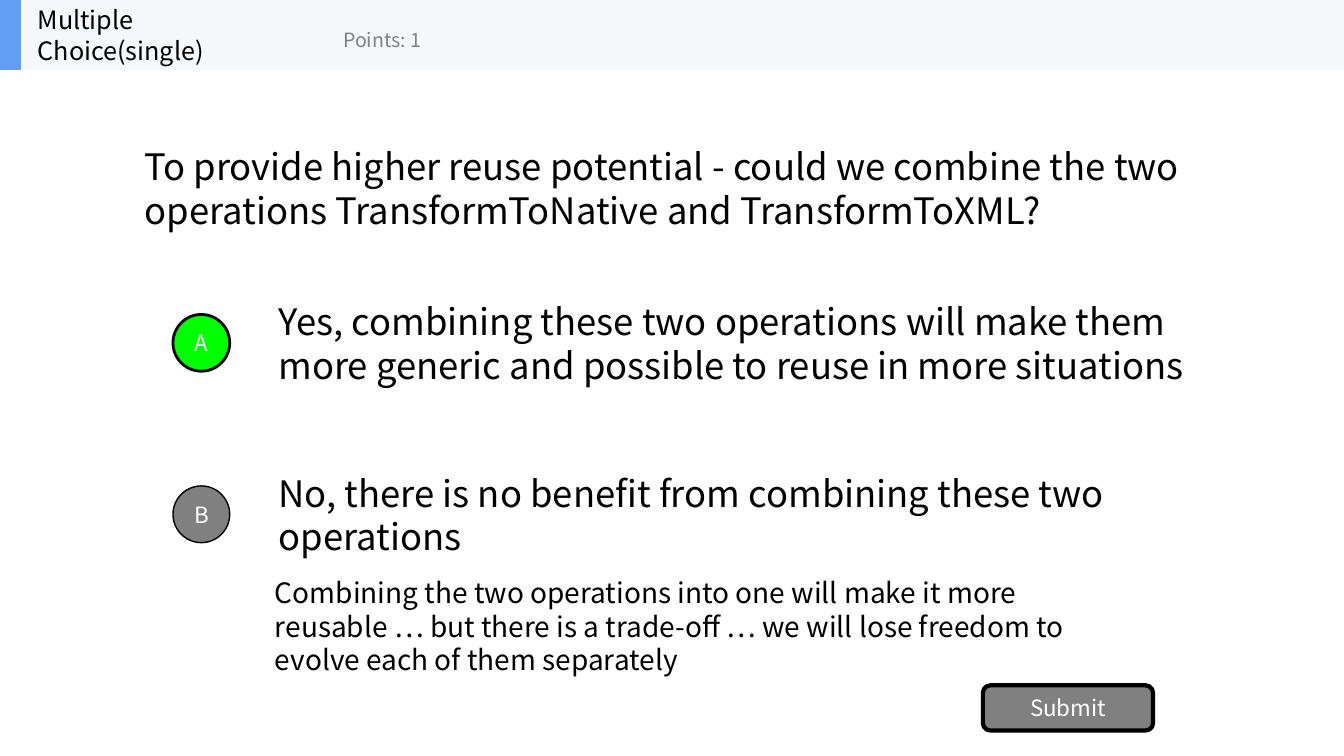
import pptx
import pptx.util
from pptx.dml.color import RGBColor
from pptx.enum.shapes import MSO_SHAPE
from pptx.enum.text import MSO_ANCHOR, MSO_AUTO_SIZE, PP_ALIGN

BLACK = RGBColor(0x00, 0x00, 0x00)
WHITE = RGBColor(0xFF, 0xFF, 0xFF)
GRAY = RGBColor(0x80, 0x80, 0x80)
GREEN = RGBColor(0x00, 0xFF, 0x00)
BLUE = RGBColor(0x63, 0x9E, 0xF4)
PALE = RGBColor(0xF6, 0xF7, 0xF8)

Cm = pptx.util.Cm
Pt = pptx.util.Pt

WIDTH, HEIGHT = 33.87, 19.05
BAR_HEIGHT = 1.76
OPTION_HEIGHT = 1.78
BUTTON_SIZE = 1.43


class Quiz:
    font = "Noto Sans CJK SC"

    def __init__(self, prs):
        self.s = prs.slides.add_slide(prs.slide_layouts[6])

    def fill_text(self, sp, text, size, color, **frame):
        tf = sp.text_frame
        settings = {"word_wrap": True, "vertical_anchor": MSO_ANCHOR.MIDDLE, **frame}
        for name, value in settings.items():
            setattr(tf, name, value)
        p = tf.paragraphs[0]
        r = p.add_run()
        r.text = text
        for name, value in {"name": self.font, "size": Pt(size)}.items():
            setattr(r.font, name, value)
        r.font.color.rgb = color
        return p

    def text(self, box, text, size, color=BLACK, **frame):
        sp = self.s.shapes.add_textbox(*map(Cm, box))
        self.fill_text(sp, text, size, color, **frame)

    def shape(self, kind, box, fill, line=0):
        sp = self.s.shapes.add_shape(kind, *map(Cm, box))
        sp.shadow.inherit = False
        sp.fill.solid()
        sp.fill.fore_color.rgb = fill
        if line:
            sp.line.color.rgb = BLACK
            sp.line.width = Pt(line)
        else:
            sp.line.fill.background()
        return sp

    def button(self, kind, box, label, fill, line):
        sp = self.shape(kind, box, fill, line)
        margins = dict.fromkeys(
            ("margin_left", "margin_right", "margin_top", "margin_bottom"), 0)
        p = self.fill_text(sp, label, 16, WHITE, **margins)
        p.alignment = PP_ALIGN.CENTER

    def option(self, top, letter, text, fill, line):
        self.text((6.77, top, 23.71, OPTION_HEIGHT), text, 26)
        button_top = top + (OPTION_HEIGHT - BUTTON_SIZE) / 2
        self.button(MSO_SHAPE.OVAL, (4.36, button_top, BUTTON_SIZE, BUTTON_SIZE),
                    letter, fill, line)


def main():
    prs = pptx.Presentation()
    prs.slide_width, prs.slide_height = Cm(WIDTH), Cm(HEIGHT)
    quiz = Quiz(prs)

    quiz.text((3.39, 1.76, 27.09, 5.95),
              "To provide higher reuse potential - could we combine the two "
              "operations TransformToNative and TransformToXML?", 26)

    options = [
        ("A", "Yes, combining these two operations will make them more generic "
              "and possible to reuse in more situations", GREEN, 2),
        ("B", "No, there is no benefit from combining these two operations", GRAY, 1),
    ]
    for i, option in enumerate(options):
        quiz.option(7.75 + 4.32 * i, *option)

    quiz.button(MSO_SHAPE.ROUNDED_RECTANGLE, (24.77, 17.27, 4.29, 1.14),
                "Submit", GRAY, 3)
    quiz.text((6.68, 14.38, 20.5, 2.82),
              "Combining the two operations into one will make it more reusable … "
              "but there is a trade-off … we will lose freedom to evolve each of "
              "them separately", 20, vertical_anchor=MSO_ANCHOR.TOP,
              auto_size=MSO_AUTO_SIZE.SHAPE_TO_FIT_TEXT)

    quiz.shape(MSO_SHAPE.RECTANGLE, (0, 0, WIDTH, BAR_HEIGHT), PALE)
    quiz.shape(MSO_SHAPE.RECTANGLE, (0, 0, 0.53, BAR_HEIGHT), BLUE)
    quiz.text((0.7, 0, 5.28, BAR_HEIGHT), "Multiple Choice(single)", 18,
              word_wrap=False)
    quiz.text((8.4, 0.3, 6.35, 1.42), "Points: 1", 14, GRAY, word_wrap=False)

    prs.save("out.pptx")


if __name__ == "__main__":
    main()
